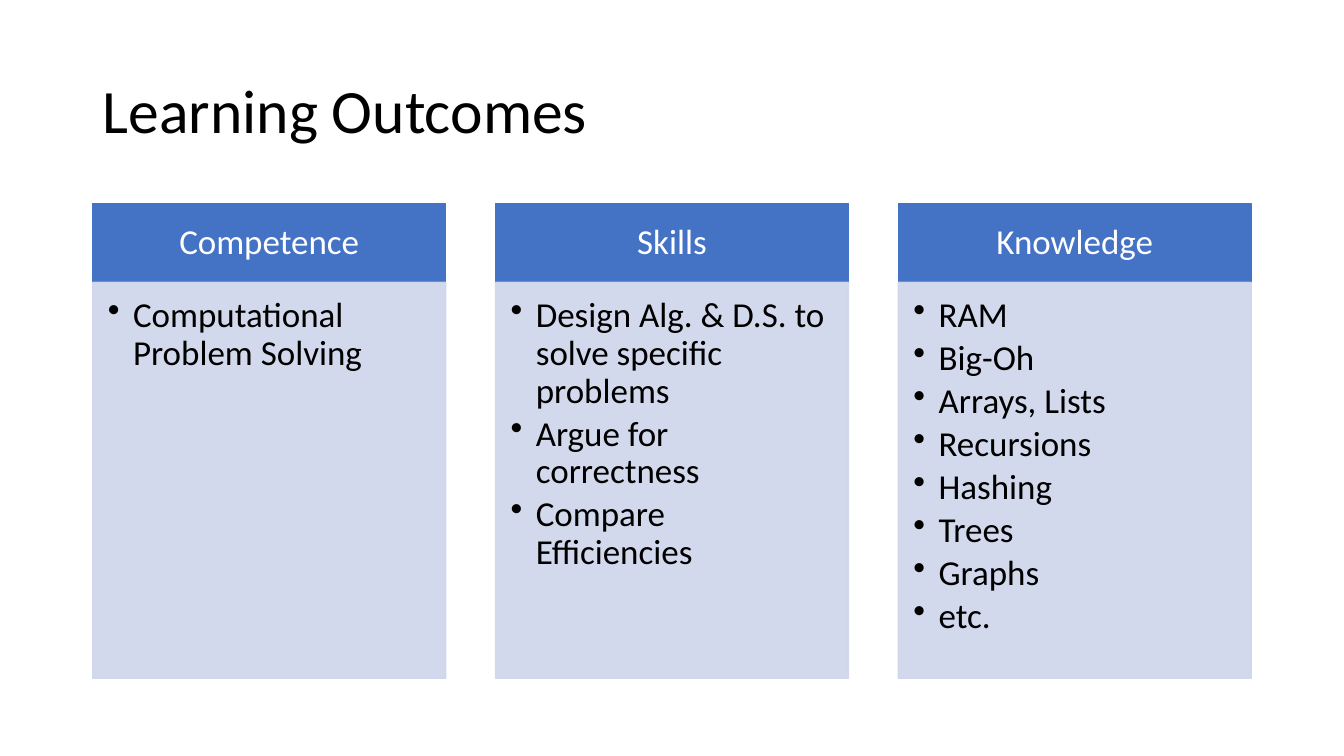
from dataclasses import dataclass

from lxml.etree import SubElement
from pptx import Presentation
from pptx.dml.color import RGBColor
from pptx.enum.shapes import MSO_SHAPE as Preset
from pptx.enum.text import MSO_ANCHOR as Anchor, MSO_AUTO_SIZE as AutoSize, PP_ALIGN as Align
from pptx.oxml.ns import qn
from pptx.shapes.autoshape import Shape
from pptx.slide import Slide
from pptx.util import Inches, Pt


@dataclass(frozen=True)
class Theme:
    font: str = "Calibri"
    ink: RGBColor = RGBColor(0x00, 0x00, 0x00)
    paper: RGBColor = RGBColor(0xFF, 0xFF, 0xFF)
    header: RGBColor = RGBColor(0x44, 0x72, 0xC4)
    body: RGBColor = RGBColor(0xCF, 0xD5, 0xEA)
    body_opacity: int = 90
    title_size: Pt = Pt(44)
    text_size: Pt = Pt(25)
    item_gap: Pt = Pt(3.75)
    line_spacing: float = 0.9


@dataclass(frozen=True)
class Box:
    left: float
    top: float
    width: float
    height: float


@dataclass(frozen=True)
class Outcome:
    heading: str
    items: tuple[str, ...]


THEME = Theme()
LEFT = 0.92
CONTENT_WIDTH = 11.49
COLUMN_WIDTH = 3.5
HEADER_TOP, HEADER_HEIGHT = 2.02, 0.78
BODY_TOP, BODY_HEIGHT = HEADER_TOP + HEADER_HEIGHT, 3.93
TITLE_BOX = Box(LEFT, 0.4, 11.5, 1.45)

OUTCOMES = (
    Outcome("Competence", ("Computational Problem Solving",)),
    Outcome("Skills", (
        "Design Alg. & D.S. to solve specific problems",
        "Argue for correctness",
        "Compare Efficiencies",
    )),
    Outcome("Knowledge", (
        "RAM", "Big-Oh", "Arrays, Lists", "Recursions",
        "Hashing", "Trees", "Graphs", "etc.",
    )),
)


def place(shape: Shape, box: Box) -> None:
    shape.left, shape.top = Inches(box.left), Inches(box.top)
    shape.width, shape.height = Inches(box.width), Inches(box.height)


def write(shape: Shape, lines: tuple[str, ...], size: Pt, color: RGBColor,
          align: Align, anchor: Anchor) -> None:
    frame = shape.text_frame
    frame.text = "\n".join(lines)
    frame.word_wrap = True
    frame.auto_size = AutoSize.NONE
    frame.vertical_anchor = anchor
    for paragraph in frame.paragraphs:
        paragraph.alignment = align
        paragraph.line_spacing = THEME.line_spacing
        paragraph.font.name = THEME.font
        paragraph.font.size = size
        paragraph.font.color.rgb = color


def set_insets(shape: Shape, left: float, top: float, right: float, bottom: float) -> None:
    frame = shape.text_frame
    frame.margin_left, frame.margin_top = Inches(left), Inches(top)
    frame.margin_right, frame.margin_bottom = Inches(right), Inches(bottom)


def add_panel(page: Slide, box: Box, color: RGBColor, opacity: int = 100) -> Shape:
    panel = page.shapes.add_shape(Preset.RECTANGLE, 0, 0, 0, 0)
    place(panel, box)
    panel.shadow.inherit = False
    panel.fill.solid()
    panel.fill.fore_color.rgb = color
    panel.line.color.rgb = color
    panel.line.width = Pt(1)
    if opacity < 100:
        for tint in panel.fill._xPr.iter(qn("a:srgbClr")):
            SubElement(tint, qn("a:alpha"), val=str(opacity * 1000))
    return panel


def add_bullets(shape: Shape) -> None:
    for paragraph in shape.text_frame.paragraphs:
        paragraph.space_after = THEME.item_gap
        properties = paragraph._p.get_or_add_pPr()
        properties.set("marL", str(Inches(0.25)))
        properties.set("indent", str(Inches(-0.25)))
        bullet = properties.makeelement(qn("a:buChar"), {"char": "•"})
        properties.insert_element_before(bullet, "a:tabLst", "a:defRPr", "a:extLst")


def add_outcome(page: Slide, outcome: Outcome, left: float) -> None:
    header = add_panel(page, Box(left, HEADER_TOP, COLUMN_WIDTH, HEADER_HEIGHT), THEME.header)
    write(header, (outcome.heading,), THEME.text_size, THEME.paper, Align.CENTER, Anchor.MIDDLE)
    set_insets(header, 0.19, 0.11, 0.19, 0.11)

    body = add_panel(page, Box(left, BODY_TOP, COLUMN_WIDTH, BODY_HEIGHT),
                     THEME.body, THEME.body_opacity)
    write(body, outcome.items, THEME.text_size, THEME.ink, Align.LEFT, Anchor.TOP)
    set_insets(body, 0.15, 0.15, 0.19, 0.22)
    add_bullets(body)


def main() -> None:
    deck = Presentation()
    deck.slide_width, deck.slide_height = Inches(13.33), Inches(7.5)
    page = deck.slides.add_slide(deck.slide_layouts.get_by_name("Title Only"))

    title = page.shapes.title
    place(title, TITLE_BOX)
    write(title, ("Learning Outcomes",), THEME.title_size, THEME.ink, Align.LEFT, Anchor.MIDDLE)

    pitch = (CONTENT_WIDTH - COLUMN_WIDTH) / (len(OUTCOMES) - 1)
    for index, outcome in enumerate(OUTCOMES):
        add_outcome(page, outcome, LEFT + index * pitch)

    deck.save("out.pptx")


main()
